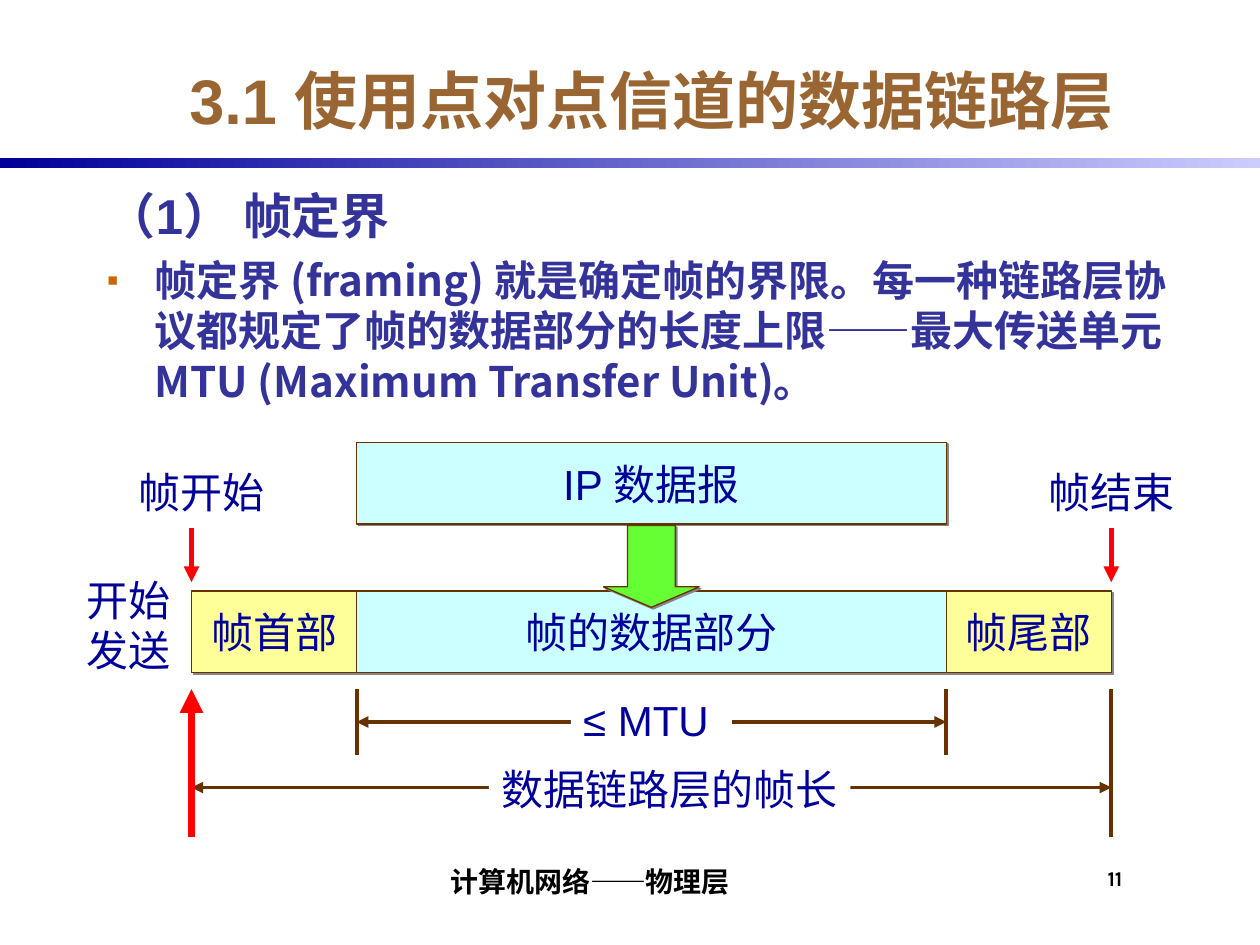
from lxml.etree import SubElement
from pptx import Presentation
from pptx.dml.color import RGBColor as Rgb
from pptx.enum.shapes import MSO_CONNECTOR as Conn, MSO_SHAPE as Kind
from pptx.enum.text import MSO_ANCHOR as Anchor, MSO_AUTO_SIZE as Fit, PP_ALIGN as Align
from pptx.oxml.ns import qn
from pptx.util import Inches, Pt

WHITE, BLACK = Rgb(255, 255, 255), Rgb(0, 0, 0)
TAN, BROWN = Rgb(0x99, 0x66, 0x33), Rgb(0x66, 0x33, 0)
NAVY, LILAC = Rgb(0, 0, 0x99), Rgb(0xCC, 0xCC, 0xFF)
INDIGO, RED = Rgb(0x33, 0x33, 0x99), Rgb(255, 0, 0)
YELLOW, CYAN = Rgb(255, 255, 0x99), Rgb(0xCC, 255, 255)
GREEN = Rgb(0x66, 255, 0x33)
HAN = "Noto Sans CJK SC"


def place(box):
    """Turn a box in inches into lengths."""
    return [Inches(n) for n in box]


def style(para, size, color, face="Arial", bold=False, align=Align.LEFT):
    """Set the font and alignment of a paragraph."""
    font = para.font
    font.size, font.bold, font.name = Pt(size), bold, face
    font.color.rgb = color
    para.alignment = align
    SubElement(font._element, qn("a:ea"), typeface=HAN)


def add_text(slide, box, text, size, color, face="Arial", bold=False,
             align=Align.LEFT, anchor=Anchor.TOP, wrap=True):
    """Add a text box whose paragraphs share one style."""
    area = slide.shapes.add_textbox(*place(box))
    frame = area.text_frame
    frame.word_wrap, frame.vertical_anchor = wrap, anchor
    frame.text = text
    for para in frame.paragraphs:
        style(para, size, color, face, bold, align)
    return area


def add_label(slide, box, text):
    """Add a white label that covers the lines behind it."""
    area = add_text(slide, box, text, 24, NAVY, wrap=False)
    area.text_frame.auto_size = Fit.SHAPE_TO_FIT_TEXT
    area.fill.solid()
    area.fill.fore_color.rgb = WHITE


def add_block(slide, box, color, text="", kind=Kind.RECTANGLE):
    """Add an outlined block with a small hard shadow."""
    block = slide.shapes.add_shape(kind, *place(box))
    block.shadow.inherit = False
    block.fill.solid()
    block.fill.fore_color.rgb = color
    block.line.color.rgb, block.line.width = BROWN, Pt(0.75)
    glow = SubElement(block._element.spPr.find(qn("a:effectLst")),
                      qn("a:outerShdw"), dist=str(Pt(1.4)), dir="2700000",
                      algn="ctr", rotWithShape="0")
    SubElement(glow, qn("a:srgbClr"), val="868686")
    if text:
        frame = block.text_frame
        frame.word_wrap, frame.vertical_anchor = False, Anchor.MIDDLE
        frame.text = text
        style(frame.paragraphs[0], 24, NAVY, align=Align.CENTER)
    return block


def add_line(slide, start, end, color=BROWN, width=2.25, ends=()):
    """Add a line with arrowheads at the named ends."""
    line = slide.shapes.add_connector(Conn.STRAIGHT, *place(start + end))
    line.line.color.rgb, line.line.width = color, Pt(width)
    for name in ends:
        SubElement(line.line._get_or_add_ln(), qn(f"a:{name}"), type="triangle")
    SubElement(line._element.spPr, qn("a:effectLst"))


def add_title(slide, box, text):
    """Fill the title and draw the band below it."""
    title = slide.shapes.title
    title.left, title.top, title.width, title.height = place(box)
    frame = title.text_frame
    frame.text, frame.vertical_anchor = text, Anchor.MIDDLE
    style(frame.paragraphs[0], 36, TAN, bold=True, align=Align.CENTER)
    band = slide.shapes.add_shape(
        Kind.RECTANGLE, *place((0, box[1] + box[3], 10, 0.08)))
    band.shadow.inherit = False
    band.line.fill.background()
    band.fill.gradient()
    band.fill.gradient_angle = 0
    for stop, color in zip(band.fill.gradient_stops, (NAVY, LILAC)):
        stop.color.rgb = color


def add_body(slide, box, head, text):
    """Write the heading and its bulleted explanation."""
    area = slide.shapes.add_textbox(*place(box))
    frame = area.text_frame
    frame.word_wrap = True
    frame.text = f"{head}\n{text}"
    first, second = frame.paragraphs
    for para in (first, second):
        props = para._p.get_or_add_pPr()
        props.set("marL", str(Inches(0.38)))
        props.set("indent", str(Inches(-0.38)))
    second.space_before = Pt(6)
    tint = SubElement(props, qn("a:buClr"))
    SubElement(tint, qn("a:srgbClr"), val="CC6600")
    SubElement(props, qn("a:buSzPct"), val="80000")
    SubElement(props, qn("a:buFont"), typeface="Arial")
    SubElement(props, qn("a:buChar"), char="▪")
    style(first, 28, INDIGO, bold=True)
    style(second, 24, INDIGO, HAN, True)


def add_frame(slide, box):
    """Draw the frame, its payload, its marks and its lengths."""
    left, top, width, high = box
    side, tall = 1.31, 0.65
    right = left + width
    inner, outer = left + side, right - side
    core = outer - inner
    row = top + 1.18
    base = top + 1.96

    add_block(slide, (inner, top, core, tall), CYAN, "IP 数据报")
    for x, wide, color, text in ((left, side, YELLOW, "帧首部"),
                                 (inner, core, CYAN, "帧的数据部分"),
                                 (outer, side, YELLOW, "帧尾部")):
        add_block(slide, (x, row, wide, tall), color, text)
    arrow = add_block(slide, ((inner + outer) / 2 - 0.38, top + 0.66, 0.76, tall),
                      GREEN, kind=Kind.DOWN_ARROW)
    arrow.adjustments[0], arrow.adjustments[1] = 0.5, 0.25

    both = ("headEnd", "tailEnd")
    for x, y, far in ((inner, base + 0.26, outer), (left, base + 0.78, right)):
        add_line(slide, (x, y), (far, y), ends=both)
    for x, end in ((inner, base + 0.52), (outer, base + 0.52), (right, top + high)):
        add_line(slide, (x, base), (x, end))
    add_line(slide, (left, base), (left, top + high), RED, 4.5, ("headEnd",))
    for x in (left, right):
        add_line(slide, (x, row - 0.07), (x, row - 0.5), RED, 3, ("headEnd",))

    for x, y, wide, tall, text in (
            (left - 0.52, top + 0.14, 1.2, 0.5, "帧开始"),
            (right - 0.6, top + 0.14, 1.2, 0.5, "帧结束"),
            (left - 0.93, top + 1, 0.87, 0.9, "开始\n发送"),
            (left + 3.01, base - 0.01, 1.28, 0.5, "≤ MTU"),
            (left + 2.36, base + 0.54, 2.87, 0.5, "数据链路层的帧长")):
        add_label(slide, (x, y, wide, tall), text)


def add_foot(slide, box):
    """Write the course name and the page number."""
    left, top, width, high = box
    name = add_text(slide, (left, top, 5.17, high), "计算机网络——物理层", 16,
                    BLACK, "Karla", True, Align.CENTER, Anchor.BOTTOM)
    page = add_text(slide, (left + width - 0.58, top + 0.08, 0.58, high),
                    "11", 12, BLACK, "Karla", True)
    for area, up, down in ((name, 0, 0.04), (page, 0.04, 0)):
        frame = area.text_frame
        frame.margin_left, frame.margin_right = Inches(0.04), 0
        frame.margin_top, frame.margin_bottom = Inches(up), Inches(down)


def main():
    """Build the slide and save it."""
    deck = Presentation()
    deck.slide_width, deck.slide_height = Inches(10), Inches(7.5)
    slide = deck.slides.add_slide(deck.slide_layouts[5])
    add_title(slide, (0.92, 0.33, 8.5, 0.92), "3.1 使用点对点信道的数据链路层")
    add_body(slide, (0.75, 1.42, 8.92, 2), "（1） 帧定界",
             "帧定界 (framing) 就是确定帧的界限。每一种链路层协议都规定了帧的数据部分的"
             "长度上限——最大传送单元MTU (Maximum Transfer Unit)。")
    add_frame(slide, (1.52, 3.51, 7.3, 3.13))
    add_foot(slide, (2.08, 6.75, 7.25, 0.42))
    deck.save("out.pptx")


if __name__ == "__main__":
    main()
